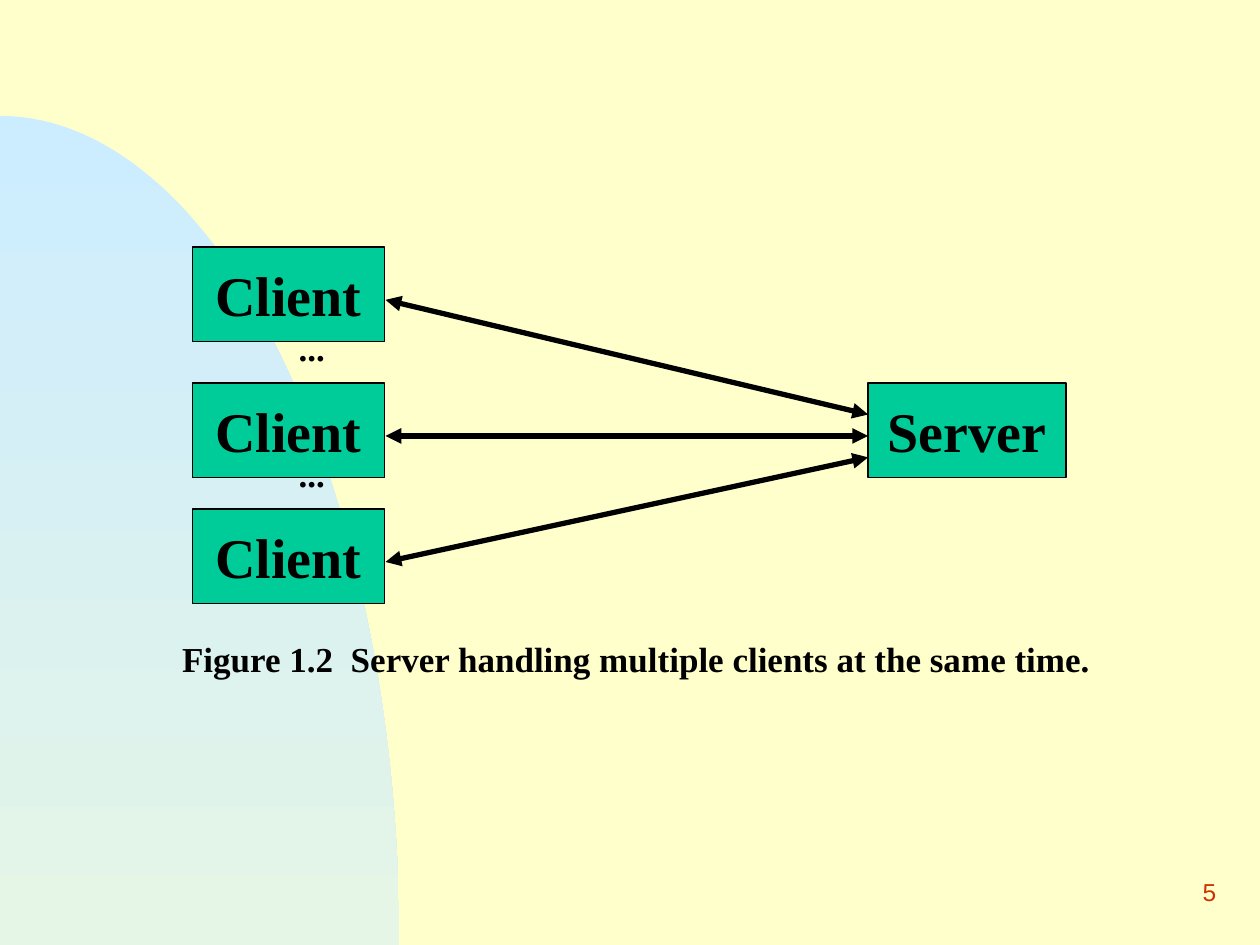
import math

from lxml import etree
from pptx import Presentation
from pptx.dml.color import RGBColor
from pptx.enum.shapes import MSO_CONNECTOR, MSO_SHAPE
from pptx.enum.text import MSO_ANCHOR, PP_ALIGN
from pptx.oxml.ns import qn
from pptx.util import Inches, Pt

RECTANGLE = MSO_SHAPE.RECTANGLE
STRAIGHT = MSO_CONNECTOR.STRAIGHT
MIDDLE = MSO_ANCHOR.MIDDLE
TOP = MSO_ANCHOR.TOP
CENTER = PP_ALIGN.CENTER
RIGHT = PP_ALIGN.RIGHT

SERIF = "Times New Roman"
BLACK = "000000"
CLIENT_LEFT, CLIENT_WIDTH = 1.53, 1.52
SERVER_LEFT, SERVER_TOP, SERVER_WIDTH = 6.89, 3.04, 1.57
NODE_HEIGHT = 0.75
CLIENT_TOPS = (1.96, 3.04, 4.04)
ARROW_LEFT = 3.06
ARROW_HEIGHTS = ((2.38, 3.29), (3.46, 3.46), (4.46, 3.63))
DOT_TOPS = (2.54, 3.54)


def color(value):
    return RGBColor.from_string(value)


def write(shape, text, size, align=CENTER, font=SERIF, ink=BLACK, bold=True):
    para = shape.text_frame.paragraphs[0]
    para.text = text
    para.alignment = align
    span = para.runs[0]
    span.font.name = font
    span.font.size = Pt(size)
    span.font.bold = bold
    span.font.color.rgb = color(ink)
    return para


def add_arc(page, width, top, bottom, steps=90):
    points = []
    for step in range(steps + 1):
        angle = math.pi / 2 * step / steps
        points.append((Inches(width * math.sin(angle)),
                       Inches(bottom - (bottom - top) * math.cos(angle))))
    builder = page.shapes.build_freeform(*points[0])
    builder.add_line_segments(points[1:] + [(0, Inches(bottom))], close=True)
    arc = builder.convert_to_shape()
    arc.shadow.inherit = False
    arc.line.fill.background()
    arc.fill.gradient()
    arc.fill.gradient_angle = 270
    for stop, value in zip(arc.fill.gradient_stops, ("CCECFF", "E5F5E6")):
        stop.color.rgb = color(value)


def add_node(page, label, left, top, width):
    box = page.shapes.add_shape(RECTANGLE, Inches(left), Inches(top),
                                Inches(width), Inches(NODE_HEIGHT))
    box.shadow.inherit = False
    box.fill.solid()
    box.fill.fore_color.rgb = color("00CC99")
    box.line.color.rgb = color(BLACK)
    box.line.width = Pt(0.75)
    box.text_frame.word_wrap = False
    box.text_frame.vertical_anchor = MIDDLE
    write(box, label, 32)


def add_arrow(page, start, end):
    arrow = page.shapes.add_connector(STRAIGHT, Inches(ARROW_LEFT), Inches(start),
                                      Inches(SERVER_LEFT), Inches(end))
    arrow.line.color.rgb = color(BLACK)
    arrow.line.width = Pt(3)
    outline = arrow.line._get_or_add_ln()
    for tag in ("a:headEnd", "a:tailEnd"):
        etree.SubElement(outline, qn(tag), type="triangle")
    etree.SubElement(outline.getparent(), qn("a:effectLst"))


def add_text(page, left, top, width, height, anchor=TOP):
    box = page.shapes.add_textbox(Inches(left), Inches(top),
                                  Inches(width), Inches(height))
    box.text_frame.word_wrap = True
    box.text_frame.vertical_anchor = anchor
    return box


def add_caption(page, text, left, top, width):
    para = write(add_text(page, left, top, width, 0.44), text, 20)
    para.space_before = Pt(12.5)


def main():
    deck = Presentation()
    deck.slide_width, deck.slide_height = Inches(10), Inches(7.5)
    page = deck.slides.add_slide(deck.slide_layouts[6])
    page.background.fill.solid()
    page.background.fill.fore_color.rgb = color("FFFFCC")

    add_arc(page, 3.17, 0.92, 7.5)
    for top in CLIENT_TOPS:
        add_node(page, "Client", CLIENT_LEFT, top, CLIENT_WIDTH)
    add_node(page, "Server", SERVER_LEFT, SERVER_TOP, SERVER_WIDTH)
    for start, end in ARROW_HEIGHTS:
        add_arrow(page, start, end)
    for top in DOT_TOPS:
        add_caption(page, "...", 2.14, top, 0.67)
    add_caption(page, "Figure 1.2  Server handling multiple clients at the same time.",
                1.14, 5.01, 7.82)
    number = add_text(page, 7.67, 6.83, 2.08, 0.5, MIDDLE)
    write(number, "5", 14, RIGHT, "Arial", "CC3300", False)
    deck.save("out.pptx")


if __name__ == "__main__":
    main()
